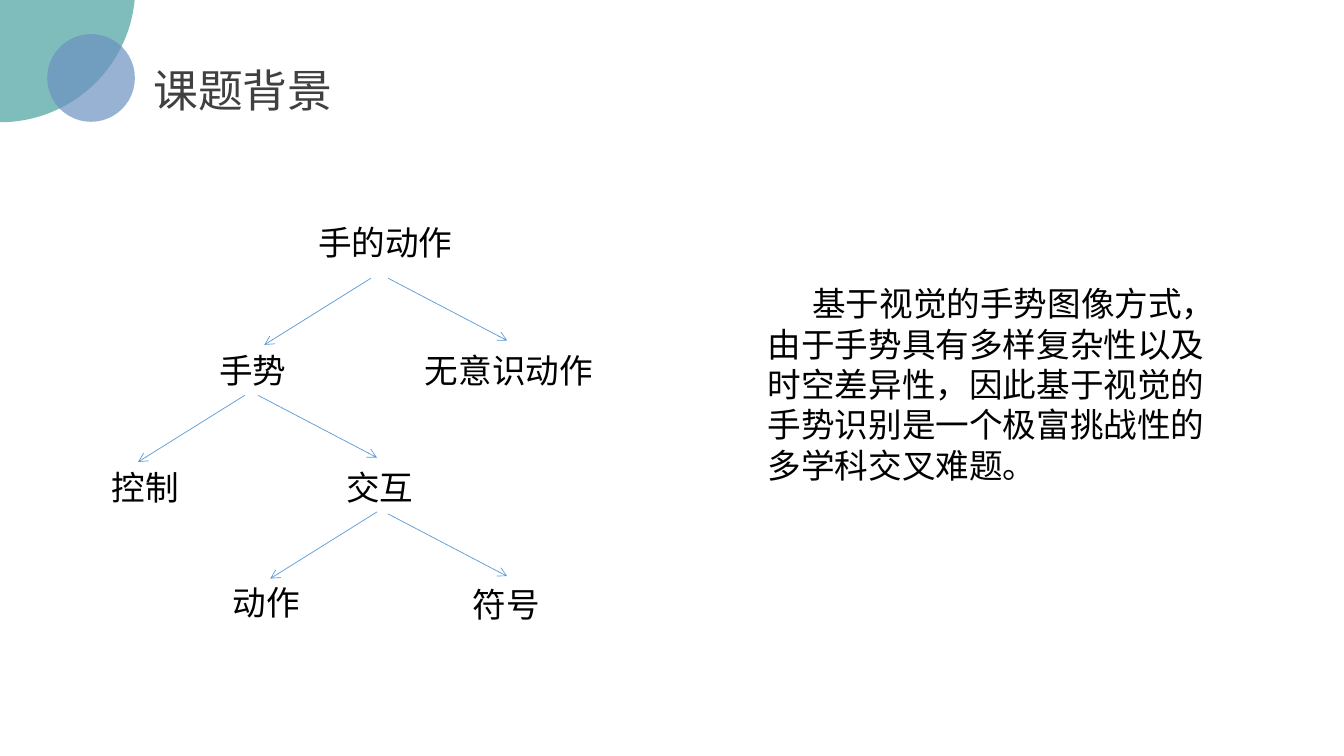
from lxml import etree
from pptx import Presentation
from pptx.dml.color import RGBColor
from pptx.enum import shapes, text
from pptx.oxml.ns import qn
from pptx.util import Cm, Pt

FONT = "Noto Sans CJK SC"

# Tree labels: text, left, top, width (cm)
TREE_LABELS = [
    ("手的动作", 7.77, 5.46, 4.34),
    ("手势", 5.28, 8.69, 2.87),
    ("无意识动作", 10.46, 8.69, 4.98),
    ("控制", 2.57, 11.63, 2.69),
    ("交互", 8.48, 11.63, 2.79),
    ("动作", 5.61, 14.53, 2.87),
    ("符号", 11.66, 14.58, 3.38),
]
LABEL_HEIGHT = 1.27

# Every branch runs by the same step from its start point (cm)
LEFT_STEP, RIGHT_STEP = (-2.69, 1.68), (3.0, 1.57)
LEFT_STARTS = [(9.35, 7.01), (6.17, 9.96), (9.5, 12.9)]
RIGHT_STARTS = [(9.78, 7.01), (6.5, 9.96), (9.78, 12.95)]

BACKGROUND_TEXT = (
    "基于视觉的手势图像方式，由于手势具有多样复杂性以及时空差异性，"
    "因此基于视觉的手势识别是一个极富挑战性的多学科交叉难题。"
)


def color(hex_string):
    return RGBColor.from_string(hex_string)


def write(box, words, size, hex_color):
    """Fill a box with one left-aligned paragraph and return it."""
    frame = box.text_frame
    frame.word_wrap = True
    frame.auto_size = text.MSO_AUTO_SIZE.SHAPE_TO_FIT_TEXT
    frame.vertical_anchor = text.MSO_ANCHOR.TOP
    para = frame.paragraphs[0]
    para.text = words
    para.alignment = text.PP_ALIGN.LEFT
    para.font.size = Pt(size)
    para.font.color.rgb = color(hex_color)
    para.font.name = FONT
    # Chinese characters take the East Asian typeface
    defaults = para._p.pPr.find(qn("a:defRPr"))
    etree.SubElement(defaults, qn("a:ea"), typeface=FONT)
    return para


def add_text(page, words, left, top, width, height):
    box = page.shapes.add_textbox(Cm(left), Cm(top), Cm(width), Cm(height))
    return write(box, words, 24, "000000")


def add_circle(page, left, top, diameter, hex_color):
    circle = page.shapes.add_shape(
        shapes.MSO_SHAPE.OVAL, Cm(left), Cm(top), Cm(diameter), Cm(diameter))
    circle.shadow.inherit = False
    circle.line.fill.background()
    circle.fill.solid()
    circle.fill.fore_color.rgb = color(hex_color)
    # 70 % opacity
    tint = circle._element.spPr.find(".//" + qn("a:srgbClr"))
    etree.SubElement(tint, qn("a:alpha"), val="70000")


def add_arrow(page, start, step):
    (x, y), (dx, dy) = start, step
    arrow = page.shapes.add_connector(
        shapes.MSO_CONNECTOR.STRAIGHT, Cm(x), Cm(y), Cm(x + dx), Cm(y + dy))
    arrow.line.color.rgb = color("5B9BD5")
    arrow.line.width = Pt(0.5)
    etree.SubElement(arrow.line._get_or_add_ln(), qn("a:tailEnd"), type="arrow")
    etree.SubElement(arrow._element.spPr, qn("a:effectLst"))


def set_title(page, words):
    title = page.shapes.title
    title.left, title.top = Cm(3.61), Cm(1.45)
    title.width, title.height = Cm(5.54), Cm(1.63)
    write(title, words, 32, "404040")


def main():
    deck = Presentation()
    deck.slide_width, deck.slide_height = Cm(33.87), Cm(19.05)
    page = deck.slides.add_slide(deck.slide_layouts[5])

    # Corner circles and title
    add_circle(page, -3.4, -3.73, 6.81, "48A2A0")
    add_circle(page, 1.19, 0.86, 2.21, "6C92C0")
    set_title(page, "课题背景")

    # Tree of hand movements
    for words, left, top, width in TREE_LABELS:
        add_text(page, words, left, top, width, LABEL_HEIGHT)
    for starts, step in ((LEFT_STARTS, LEFT_STEP), (RIGHT_STARTS, RIGHT_STEP)):
        for start in starts:
            add_arrow(page, start, step)

    # Background paragraph with a first-line indent
    para = add_text(page, BACKGROUND_TEXT, 19.1, 7.01, 11.68, 5.38)
    para._p.pPr.set("indent", str(Cm(1.12)))

    deck.save("out.pptx")


main()
